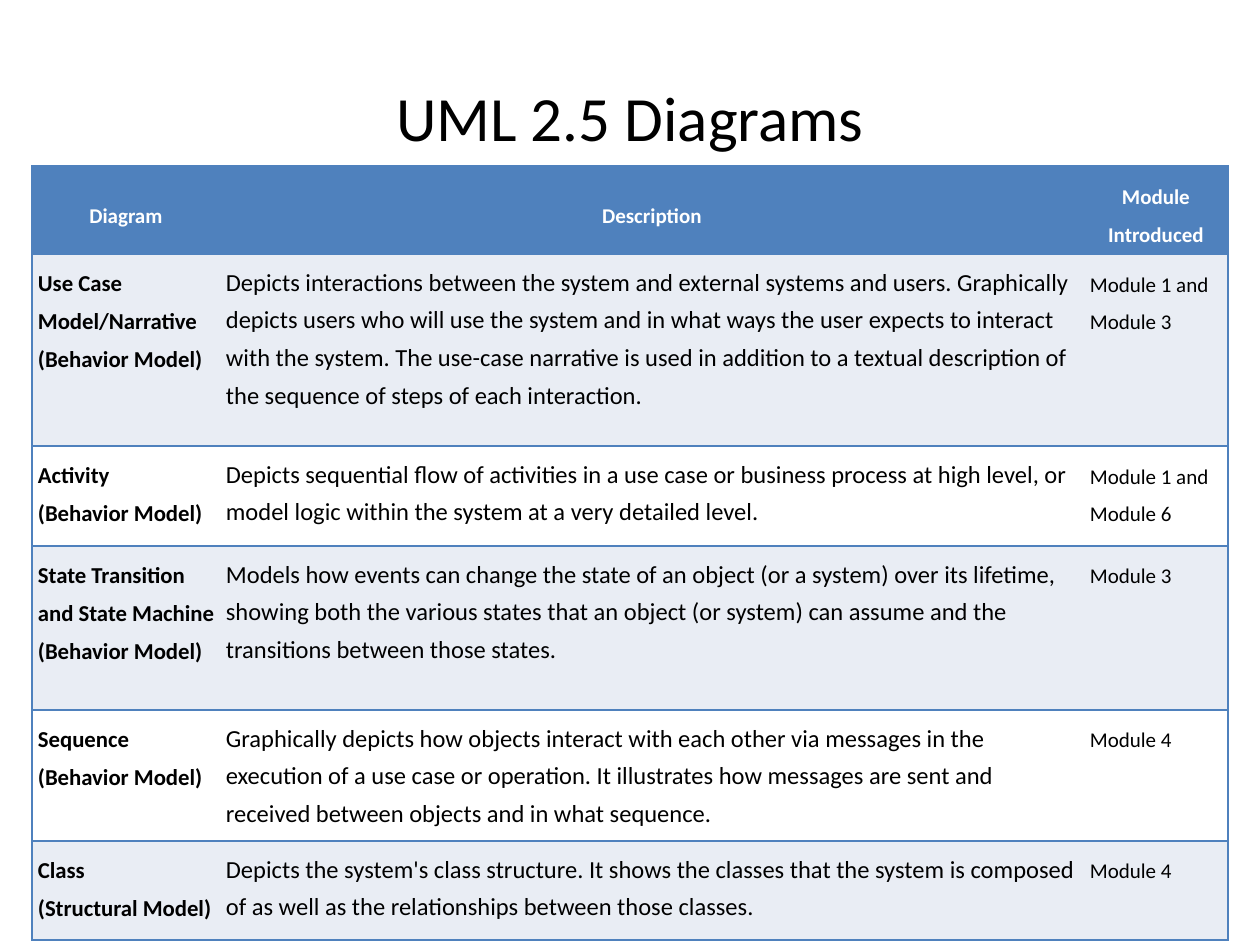
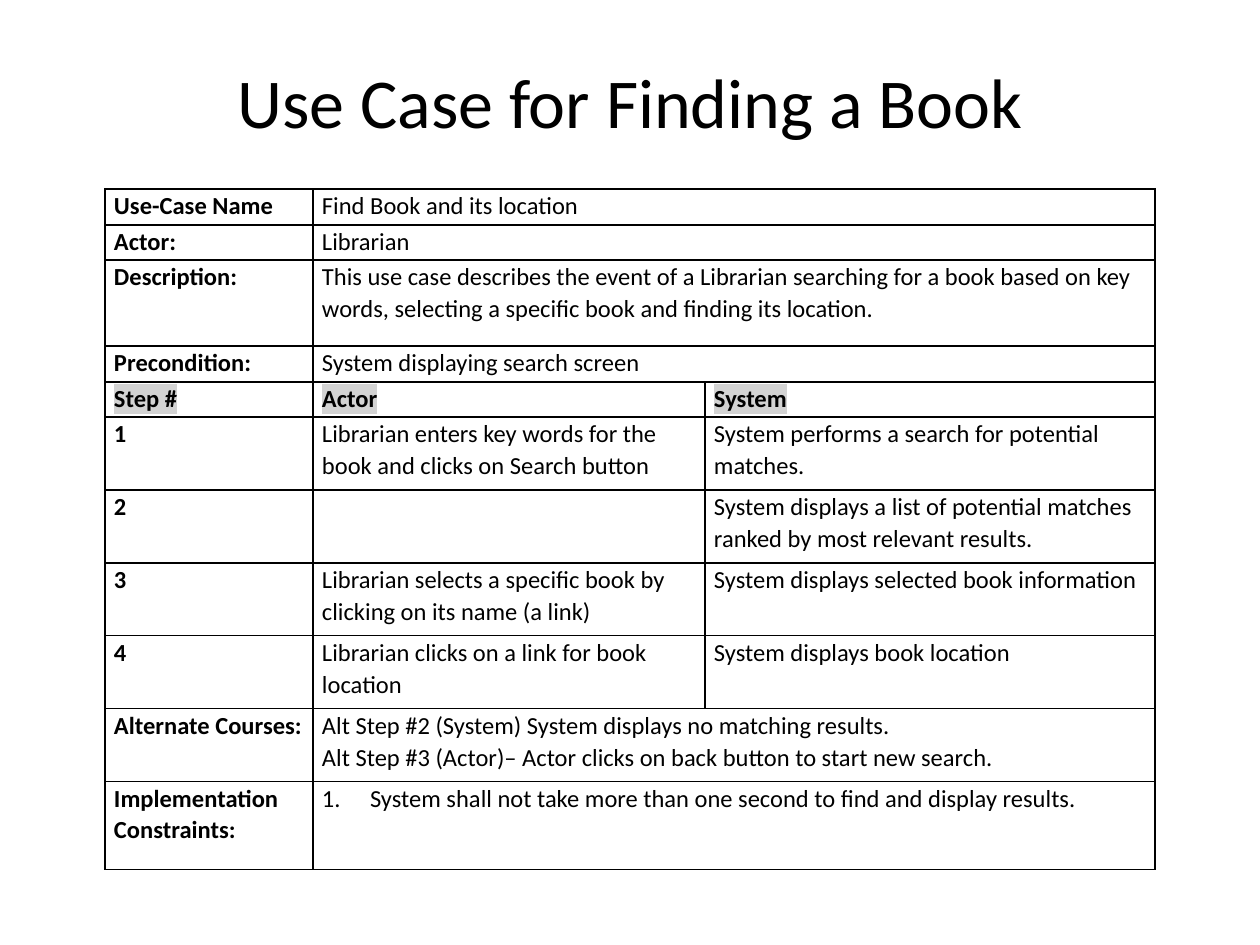
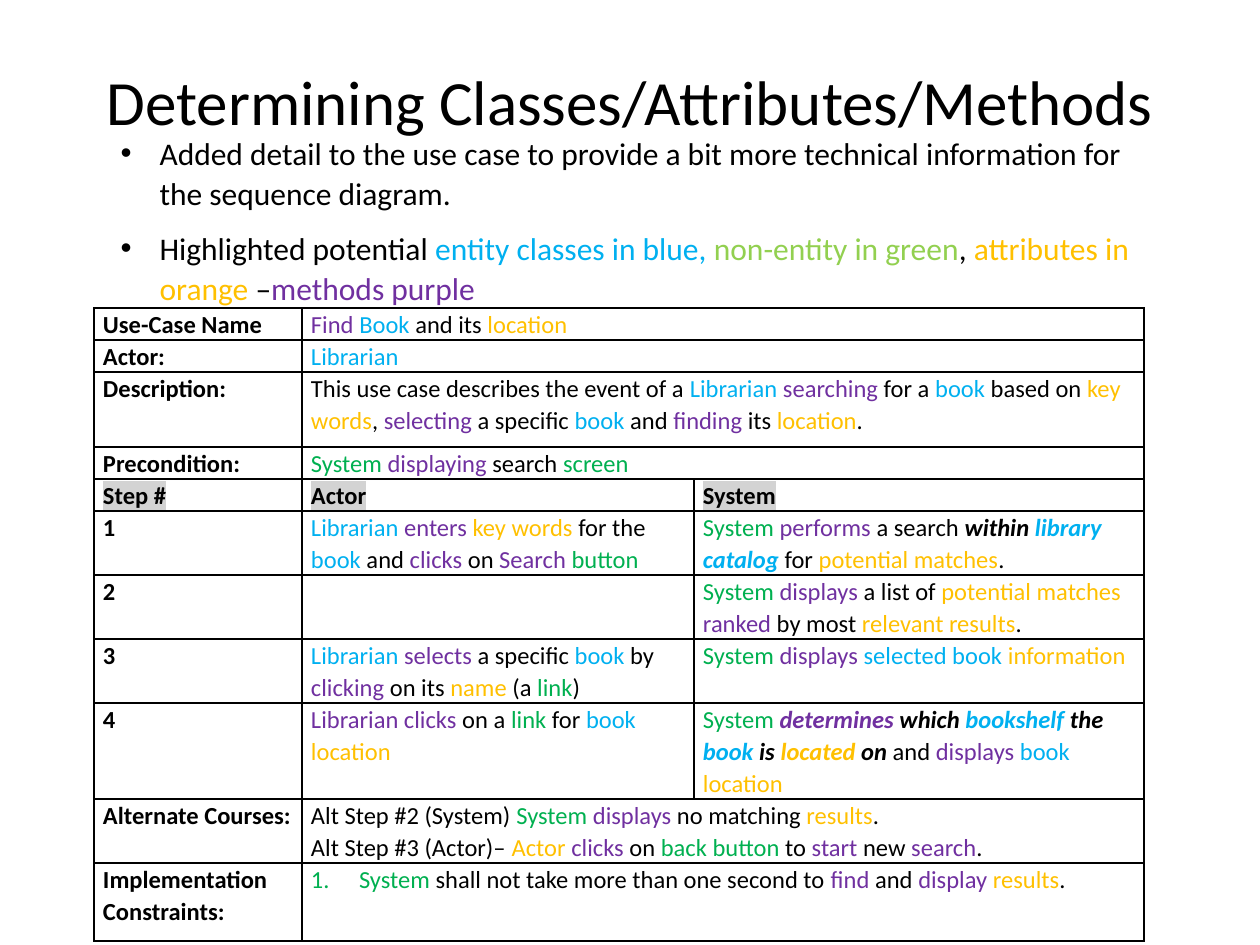
from dataclasses import dataclass, replace
from typing import Iterator, NamedTuple, Optional, Union

from pptx import Presentation
from pptx import util as u
from pptx.dml.color import RGBColor
from pptx.enum import text
from pptx.oxml import parse_xml
from pptx.oxml.ns import nsdecls, qn

# Shared look
PX = u.Inches(1) / 126
FONT = "Calibri"
COLORS = {
    "black": "000000",
    "white": "FFFFFF",
    "header": "4F81BD",
    "band": "E9EDF4",
    "highlight": "D3D3D3",
    "blue": "00B0F0",
    "green": "00B050",
    "light_green": "92D050",
    "orange": "FFC000",
    "purple": "7030A0",
}
TITLE_ONLY, TITLE_AND_CONTENT = 5, 1


class Box(NamedTuple):
    left: int
    top: int
    width: int
    height: int


class Run(NamedTuple):
    words: str
    color: str = ""
    emphasis: bool = False
    added: bool = False


@dataclass(frozen=True)
class TextStyle:
    size: int
    color: str = "black"
    bold: bool = False
    highlight: bool = False
    align: text.PP_ALIGN = text.PP_ALIGN.LEFT
    line_spacing: Union[float, u.Length] = 1.07
    before: int = 0
    between: int = 0
    after: int = 8


@dataclass(frozen=True)
class Grid:
    left: int
    top: int
    columns: tuple[int, ...]
    rows: tuple[int, ...]
    margins: tuple[int, int]  # sides, then top and bottom


# Slide content. {colour|words} colours words; "+" marks an emphasised
# addition and "&" a plain addition, both absent from the simple use case.
# A line that starts with "# " is numbered.
DIAGRAM_HEADINGS = ("Diagram", "Description", "Module Introduced")
DIAGRAMS = (
    ("Use Case Model/Narrative\n(Behavior Model)",
     "Depicts interactions between the system and external systems and users. "
     "Graphically depicts users who will use the system and in what ways the "
     "user expects to interact with the system. The use-case narrative is used "
     "in addition to a textual description of the sequence of steps of each "
     "interaction.",
     "Module 1 and Module 3"),
    ("Activity\n(Behavior Model)",
     "Depicts sequential flow of activities in a use case or business process "
     "at high level, or model logic within the system at a very detailed level.",
     "Module 1 and Module 6"),
    ("State Transition and State Machine\n(Behavior Model)",
     "Models how events can change the state of an object (or a system) over "
     "its lifetime, showing both the various states that an object (or system) "
     "can assume and the transitions between those states.",
     "Module 3"),
    ("Sequence\n(Behavior Model)",
     "Graphically depicts how objects interact with each other via messages in "
     "the execution of a use case or operation. It illustrates how messages are "
     "sent and received between objects and in what sequence.",
     "Module 4"),
    ("Class\n(Structural Model)",
     "Depicts the system's class structure. It shows the classes that the "
     "system is composed of as well as the relationships between those classes.",
     "Module 4"),
)
STEP_HEADINGS = ("Step #", "Actor", "System")
USE_CASE = (
    ("Use-Case Name", "{purple|Find }{blue|Book} and its {orange|location}"),
    ("Actor:", "{blue|Librarian}"),
    ("Description:",
     "This use case describes the event of a {blue|Librarian }"
     "{purple|searching} for a {blue|book} based on {orange|key words}, "
     "{purple|selecting} a specific {blue|book} and {purple|finding} its "
     "{orange|location}."),
    ("Precondition:",
     "{green|System }{purple|displaying} search {green|screen}"),
    STEP_HEADINGS,
    ("1",
     "{blue|Librarian }{purple|enters }{orange|key words }for the {blue|book} "
     "and {purple|clicks} on {purple|Search }{green|button}",
     "{green|System }{purple|performs} a search {+black|within }"
     "{+blue|library catalog }for {orange|potential matches}."),
    ("2", "",
     "{green|System }{purple|displays} a list of {orange|potential matches }"
     "{purple|ranked} by most {orange|relevant results}."),
    ("3",
     "{blue|Librarian }{purple|selects} a specific {blue|book} by "
     "{purple|clicking} on its {orange|name} (a {green|link})",
     "{green|System }{purple|displays }{blue|selected book }"
     "{orange|information}"),
    ("4",
     "{purple|Librarian clicks} on a {green|link} for {blue|book }"
     "{orange|location}",
     "{green|System }{+purple|determines}{+black| which }{+blue|bookshelf}"
     "{+black| the }{+blue|book}{+black| is }{+orange|located}{+black| on }"
     "{&black|and }{purple|displays }{blue|book }{orange|location}"),
    ("Alternate Courses:",
     "Alt Step #2 (System) {green|System }{purple|displays} no matching "
     "{orange|results}.\n"
     "Alt Step #3 (Actor)– {orange|Actor }{purple|clicks} on "
     "{green|back button }to {purple|start} new {purple|search}."),
    ("Implementation Constraints:",
     "# {green|System} shall not take more than one second to {purple|find} "
     "and {purple|display }{orange|results}."),
)
NOTES = (
    "Added detail to the use case to provide a bit more technical information "
    "for the sequence diagram.\n"
    "Highlighted potential {blue|entity classes in blue, }"
    "{light_green|non-entity in green}, {orange|attributes in orange} –"
    "{purple|methods purple}"
)

# Text styles and grids
HEADING = TextStyle(12, "white", bold=True, align=text.PP_ALIGN.CENTER,
                    line_spacing=u.Pt(21.6), before=24, after=24)
DIAGRAM_COLUMNS = tuple(
    TextStyle(size, bold=bold, line_spacing=u.Pt(21.6))
    for size, bold in ((13, True), (14, False), (12, False)))
USE_CASE_TEXT = TextStyle(14)
NOTES_TEXT = TextStyle(18, between=8)

DIAGRAM_GRID = Grid(32, 166, (188, 864, 144), (88, 192, 100, 164, 131, 99), (6, 6))
USE_CASE_COLUMNS = (208, 392, 450)
SIMPLE_GRID = Grid(105, 189, USE_CASE_COLUMNS,
                   (36, 35, 86, 36, 35) + (73,) * 5 + (88,), (9, 0))
DETAILED_GRID = Grid(94, 308, USE_CASE_COLUMNS,
                     (32, 32, 75, 32, 32, 64, 64, 64, 96, 64, 78), (9, 0))


def px(length: int) -> u.Emu:
    return u.Emu(round(length * PX))


def rgb(name: str) -> RGBColor:
    return RGBColor.from_string(COLORS[name])


# Text
def marked_runs(line: str) -> Iterator[Run]:
    """Split a marked line into runs."""
    for piece in line.split("{"):
        plain = piece
        if "}" in piece:
            marked, plain = piece.split("}")
            code, words = marked.split("|")
            yield Run(words, code.lstrip("+&"), code[0] == "+", code[0] in "+&")
        if plain:
            yield Run(plain)


def set_hanging(paragraph, indent: int):
    properties = paragraph._p.get_or_add_pPr()
    properties.set("marL", str(px(indent)))
    properties.set("indent", str(-px(indent)))
    return properties


def add_run(paragraph, part: Run, style: TextStyle) -> None:
    run = paragraph.add_run()
    run.text = part.words
    font = run.font
    font.name, font.size = FONT, u.Pt(style.size)
    font.bold = style.bold or part.emphasis
    font.italic = part.emphasis
    font.color.rgb = rgb(part.color or style.color)
    if style.highlight:
        run._r.rPr.find(qn("a:solidFill")).addnext(parse_xml(
            f'<a:highlight {nsdecls("a")}>'
            f'<a:srgbClr val="{COLORS["highlight"]}"/></a:highlight>'))


def write_text(text_frame, content: str, style: TextStyle, detailed: bool = True) -> None:
    lines = content.split("\n")
    text_frame.text = "\n" * (len(lines) - 1)
    for index, (paragraph, line) in enumerate(zip(text_frame.paragraphs, lines)):
        last = index == len(lines) - 1
        paragraph.alignment = style.align
        paragraph.line_spacing = style.line_spacing
        paragraph.space_before = u.Pt(style.before)
        paragraph.space_after = u.Pt(style.after if last else style.between)
        if line.startswith("# "):
            set_hanging(paragraph, 48).append(parse_xml(
                f'<a:buAutoNum {nsdecls("a")} type="arabicPeriod"/>'))
        for part in marked_runs(line.removeprefix("# ")):
            if detailed:
                add_run(paragraph, part, style)
            elif not part.added:
                add_run(paragraph, Run(part.words), style)


def place(shape, box: Box) -> None:
    shape.left, shape.top, shape.width, shape.height = map(px, box)
    shape.text_frame.auto_size = text.MSO_AUTO_SIZE.NONE


def add_titled_slide(presentation, layout: int, title: str, size: int, top: int):
    slide = presentation.slides.add_slide(presentation.slide_layouts[layout])
    shape = slide.shapes.title
    place(shape, Box(63, top, 1134, 157))
    shape.text_frame.vertical_anchor = text.MSO_ANCHOR.MIDDLE
    write_text(shape.text_frame, title,
               TextStyle(size, align=text.PP_ALIGN.CENTER, line_spacing=1.0, after=0))
    return slide


# Tables
def set_borders(cell, **colors: Optional[str]) -> None:
    """Draw the L, R, T and B borders; None hides a side."""
    properties = cell._tc.get_or_add_tcPr()
    for index, side in enumerate("LRTB"):
        color = colors[side]
        line = (f'<a:solidFill><a:srgbClr val="{COLORS[color]}"/></a:solidFill>'
                if color else "<a:noFill/>")
        properties.insert(index, parse_xml(
            f'<a:ln{side} {nsdecls("a")} w="{u.Pt(1)}">{line}</a:ln{side}>'))


def add_grid(slide, grid: Grid):
    frame = slide.shapes.add_table(
        len(grid.rows), len(grid.columns), px(grid.left), px(grid.top),
        px(sum(grid.columns)), px(sum(grid.rows)))
    table = frame.table
    table.first_row = table.horz_banding = False
    for column, width in zip(table.columns, grid.columns):
        column.width = px(width)
    for row, height in zip(table.rows, grid.rows):
        row.height = px(height)
    for cell in table.iter_cells():
        cell.margin_left = cell.margin_right = px(grid.margins[0])
        cell.margin_top = cell.margin_bottom = px(grid.margins[1])
    return table


def add_diagram_table(slide) -> None:
    table = add_grid(slide, DIAGRAM_GRID)
    for row, contents in enumerate((DIAGRAM_HEADINGS,) + DIAGRAMS):
        fill = "header" if row == 0 else "band" if row % 2 else "white"
        for column, content in enumerate(contents):
            cell = table.cell(row, column)
            cell.fill.solid()
            cell.fill.fore_color.rgb = rgb(fill)
            set_borders(cell, T="header", B="header",
                        L="header" if column == 0 else None,
                        R="header" if column == 2 else None)
            if row == 0:
                cell.vertical_anchor = text.MSO_ANCHOR.MIDDLE
            write_text(cell.text_frame, content,
                       HEADING if row == 0 else DIAGRAM_COLUMNS[column])


def add_use_case_table(slide, grid: Grid, detailed: bool) -> None:
    table = add_grid(slide, grid)
    for cell in table.iter_cells():
        cell.fill.background()
        set_borders(cell, L="black", R="black", T="black", B="black")
    for row, contents in enumerate(USE_CASE):
        if len(contents) == 2:
            table.cell(row, 1).merge(table.cell(row, 2))
        is_heading = contents == STEP_HEADINGS
        for column, content in enumerate(contents):
            style = replace(USE_CASE_TEXT, bold=is_heading or column == 0,
                            highlight=is_heading)
            write_text(table.cell(row, column).text_frame, content, style, detailed)


# Slides
def add_notes(slide) -> None:
    body = slide.placeholders[1]
    place(body, Box(108, 125, 1067, 189))
    write_text(body.text_frame, NOTES, NOTES_TEXT)
    for paragraph in body.text_frame.paragraphs:
        set_hanging(paragraph, 39)


def main() -> None:
    presentation = Presentation()
    presentation.slide_width, presentation.slide_height = px(1260), px(945)

    slide = add_titled_slide(presentation, TITLE_ONLY, "UML 2.5 Diagrams", 36, 38)
    add_diagram_table(slide)

    slide = add_titled_slide(presentation, TITLE_ONLY,
                             "Use Case for Finding a Book", 40, 22)
    add_use_case_table(slide, SIMPLE_GRID, detailed=False)

    slide = add_titled_slide(presentation, TITLE_AND_CONTENT,
                             "Determining Classes/Attributes/Methods", 36, 22)
    add_notes(slide)
    add_use_case_table(slide, DETAILED_GRID, detailed=True)

    presentation.save("out.pptx")


if __name__ == "__main__":
    main()
